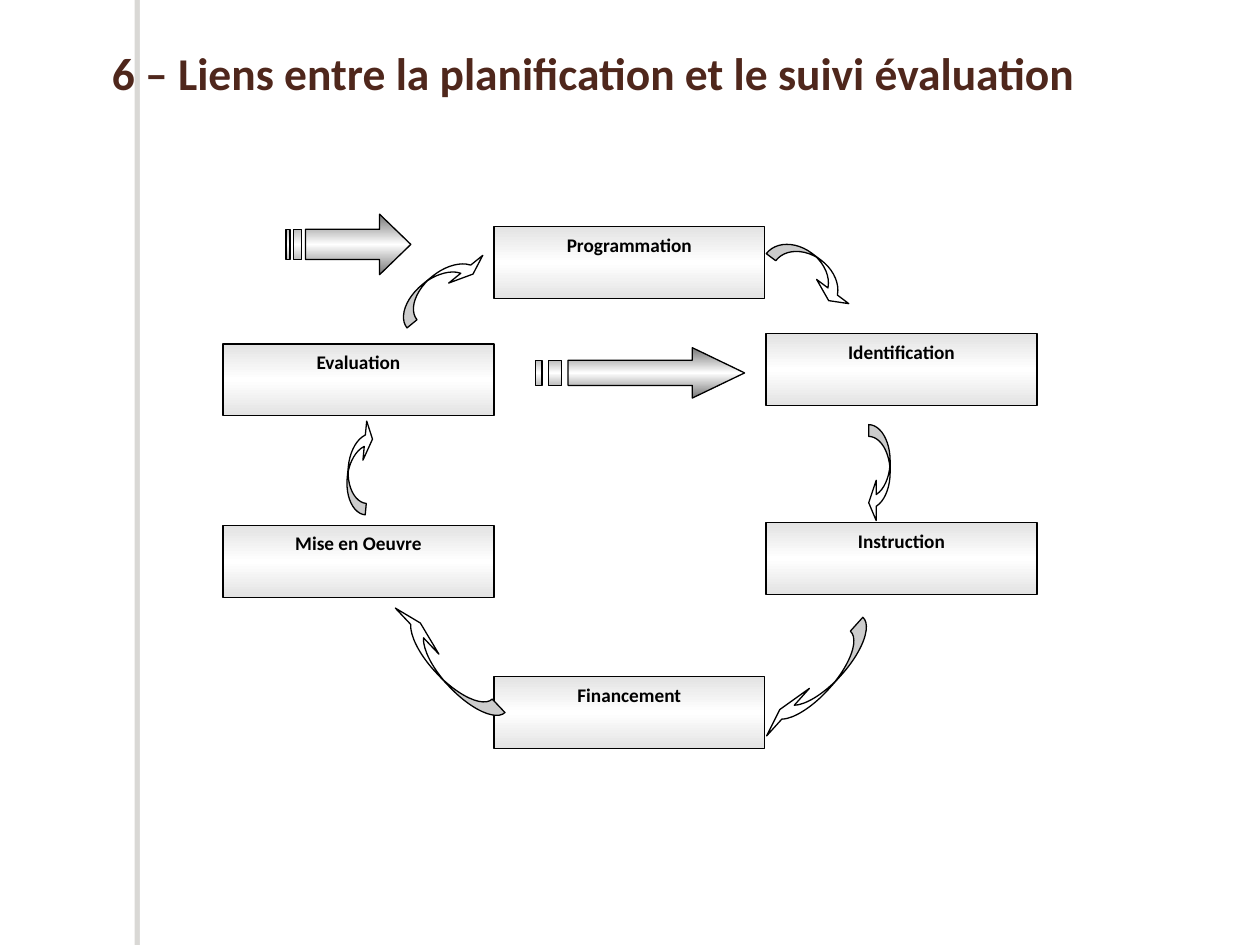
from pptx import Presentation
from pptx.dml.color import RGBColor as Rgb
from pptx.enum.shapes import MSO_SHAPE as Kind
from pptx.enum.text import MSO_ANCHOR as Anchor, PP_ALIGN as Align
from pptx.oxml import parse_xml as to_xml
from pptx.oxml.ns import nsdecls, qn
from pptx.util import Inches, Pt

HUES = {"white": "FFFFFF", "black": "000000", "title": "4F271C", "shade": "706B5F",
        "edge": "E3E3E3", "steel": "767676"}
FONT = "Calibri"
TITLE = "6 – Liens entre la planification et le suivi évaluation"
COLS = (1.77, 3.92, 6.08)
BOX = (2.15, 0.57)
STEPS = [
    ("Programmation", 1, 1.8), ("Identification", 2, 2.65), ("Instruction", 2, 4.15),
    ("Evaluation", 0, 2.73), ("Mise en Oeuvre", 0, 4.17), ("Financement", 1, 5.37),
]
BENDS = [
    (6.46, 2.16, 0.22, 0.78, 307), (6.5, 5.42, 0.18, 1.24, 42),
    (6.98, 3.76, 0.17, 0.78, 0), (3.52, 5.27, 0.18, 1.23, 136.6),
    (2.85, 3.7, 0.17, 0.76, 185.5), (3.5, 2.26, 0.19, 0.85, 230.8),
]
STRIPED = [(4.25, 2.76, 1.66, 0.4), (2.27, 1.7, 0.99, 0.48)]


def hue(name):
    return Rgb.from_string(HUES[name])


def paint(shape, fill):
    shape.shadow.inherit = False
    shape.fill.solid()
    shape.fill.fore_color.rgb = hue(fill)
    shape.line.color.rgb = hue("black")
    shape.line.width = Pt(0.75)


def blend(shape, edge):
    paint(shape, "white")
    stops = "".join(f'<a:gs pos="{pos}"><a:srgbClr val="{HUES[name]}"/></a:gs>'
                    for pos, name in ((0, edge), (50000, "white"), (100000, edge)))
    props = shape._element.spPr
    props.replace(props.find(qn("a:solidFill")), to_xml(
        f'<a:gradFill {nsdecls("a")} rotWithShape="1"><a:gsLst>{stops}</a:gsLst>'
        '<a:lin ang="5400000" scaled="0"/></a:gradFill>'))


def write(frame, text, size, color):
    frame.word_wrap = True
    frame.vertical_anchor = Anchor.TOP
    par = frame.paragraphs[0]
    run = par.add_run()
    run.text = text
    font = run.font
    font.name, font.size, font.bold = FONT, Pt(size), True
    font.color.rgb = hue(color)
    return par


def bend(shapes, x, y, w, h, turn):
    spot = map(Inches, (x - w / 2, y - h / 2, w, h))
    arrow = shapes.add_shape(Kind.CURVED_LEFT_ARROW, *spot)
    arrow.rotation = turn
    for i, part in enumerate((0.12 * h / w, 0.41 * h / w, 0.35)):
        arrow.adjustments[i] = part
    paint(arrow, "white")


def draw(shapes, loops):
    pen = None
    for loop in loops:
        dots = [(Inches(x), Inches(y)) for x, y in loop]
        if pen is None:
            pen = shapes.build_freeform(*dots[0], scale=1.0)
        else:
            pen.move_to(*dots[0])
        pen.add_line_segments(dots[1:], close=True)
    return pen.convert_to_shape()


def block(x, y, w, h):
    return [(x, y), (x + w, y), (x + w, y + h), (x, y + h)]


def stripes(x, y, w, h):
    top, low, neck = y + h / 4, y + h * 3 / 4, x + w * 3 / 4
    tail = x + w * 5 / 32
    head = [(neck, y), (neck, top), (tail, top), (tail, low), (neck, low),
            (neck, y + h), (x + w, y + h / 2)]
    return [head, block(x + w / 16, top, w / 16, h / 2), block(x, top, w / 32, h / 2)]


def main():
    deck = Presentation()
    deck.slide_width, deck.slide_height = Inches(10), Inches(7.5)
    shapes = deck.slides.add_slide(deck.slide_layouts[6]).shapes

    bar = shapes.add_shape(Kind.RECTANGLE, *map(Inches, (1.11, 0, 0.08, 7.5)))
    paint(bar, "white")
    bar.line.fill.background()
    props = bar._element.spPr
    props.replace(props.find(qn("a:effectLst")), to_xml(
        f'<a:effectLst {nsdecls("a")}><a:outerShdw blurRad="0" dist="{Pt(3)}" dir="10800000">'
        f'<a:srgbClr val="{HUES["shade"]}"><a:alpha val="25000"/></a:srgbClr>'
        '</a:outerShdw></a:effectLst>'))

    for text, col, top in STEPS:
        box = shapes.add_shape(Kind.RECTANGLE, *map(Inches, (COLS[col], top, *BOX)))
        blend(box, "edge")
        par = write(box.text_frame, text, 11, "black")
        par.alignment = Align.CENTER
        par.space_after = Pt(10)

    for spot in BENDS:
        bend(shapes, *spot)

    for spot in STRIPED:
        blend(draw(shapes, stripes(*spot)), "steel")

    head = shapes.add_textbox(*map(Inches, (0.55, 0.39, 9.06, 0.89)))
    par = write(head.text_frame, TITLE, 26, "title")
    par.line_spacing = 0.8
    par._p.get_or_add_pPr().set("marL", str(Inches(0.24)))
    deck.save("out.pptx")


if __name__ == "__main__":
    main()
